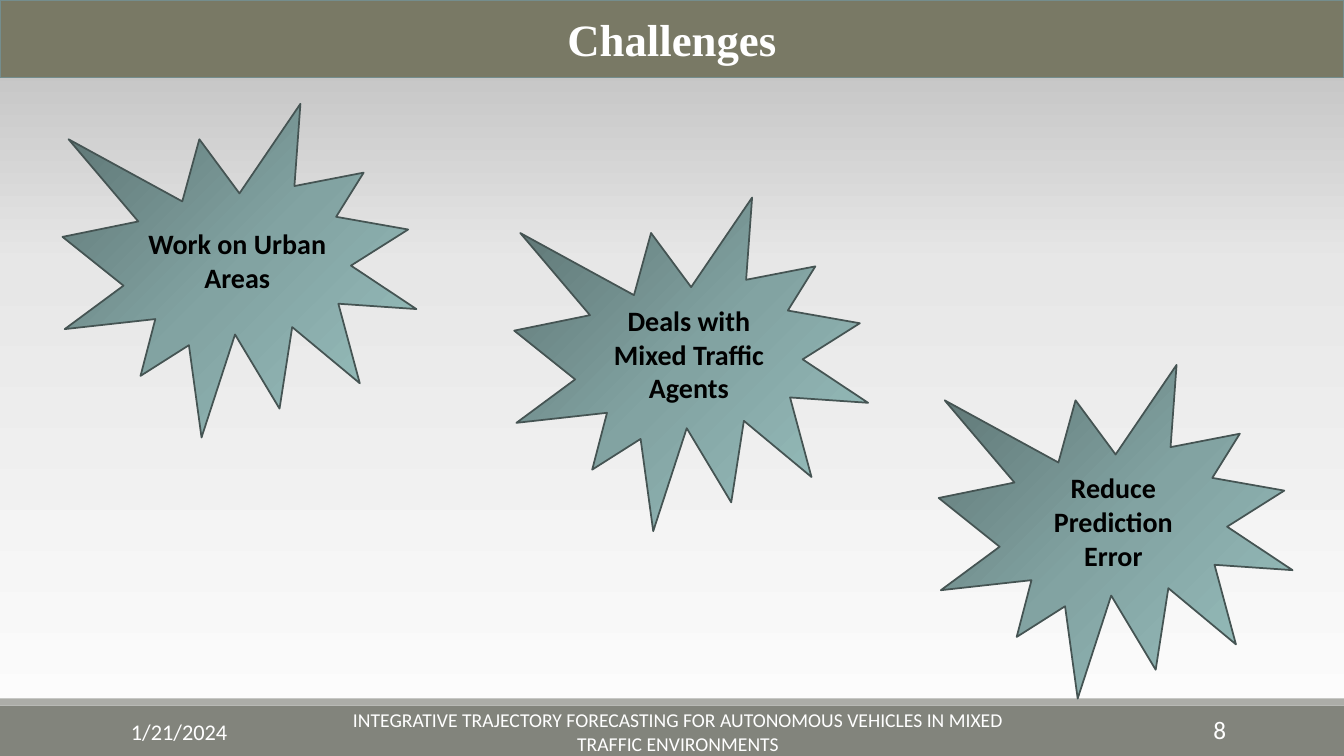
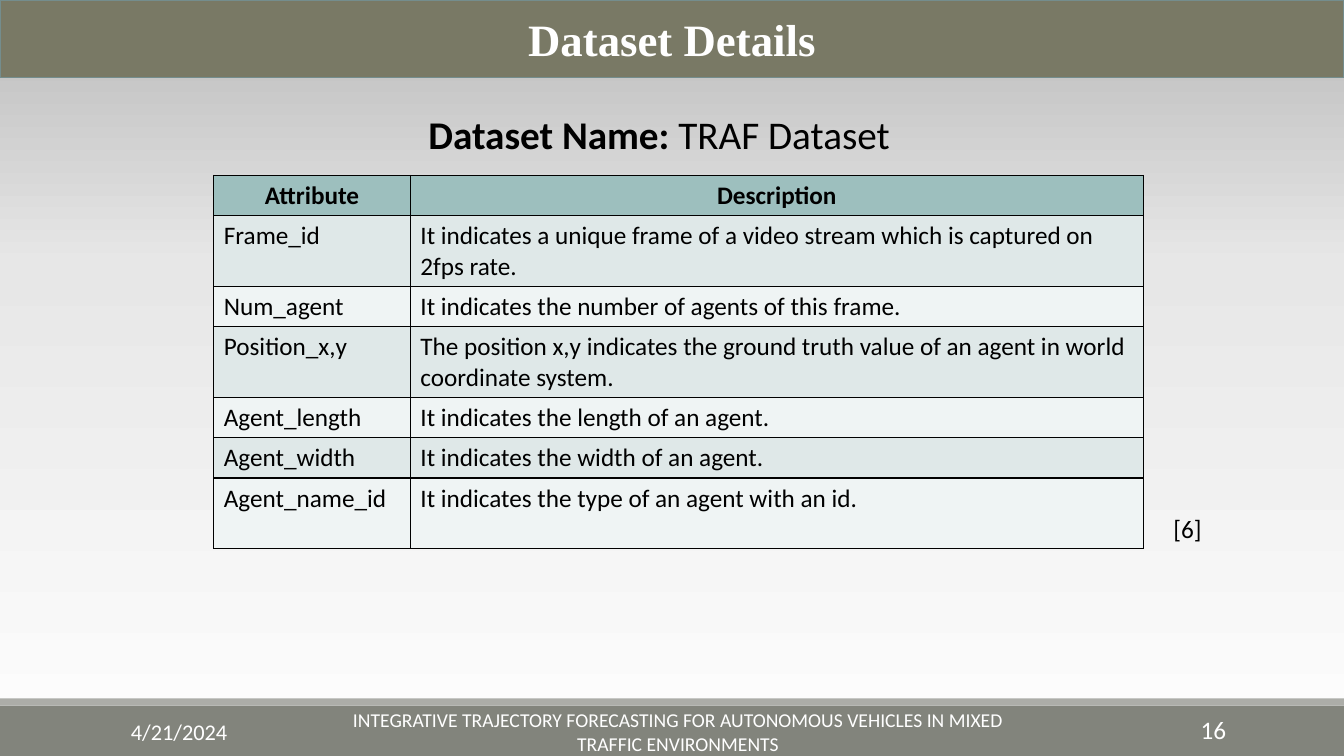
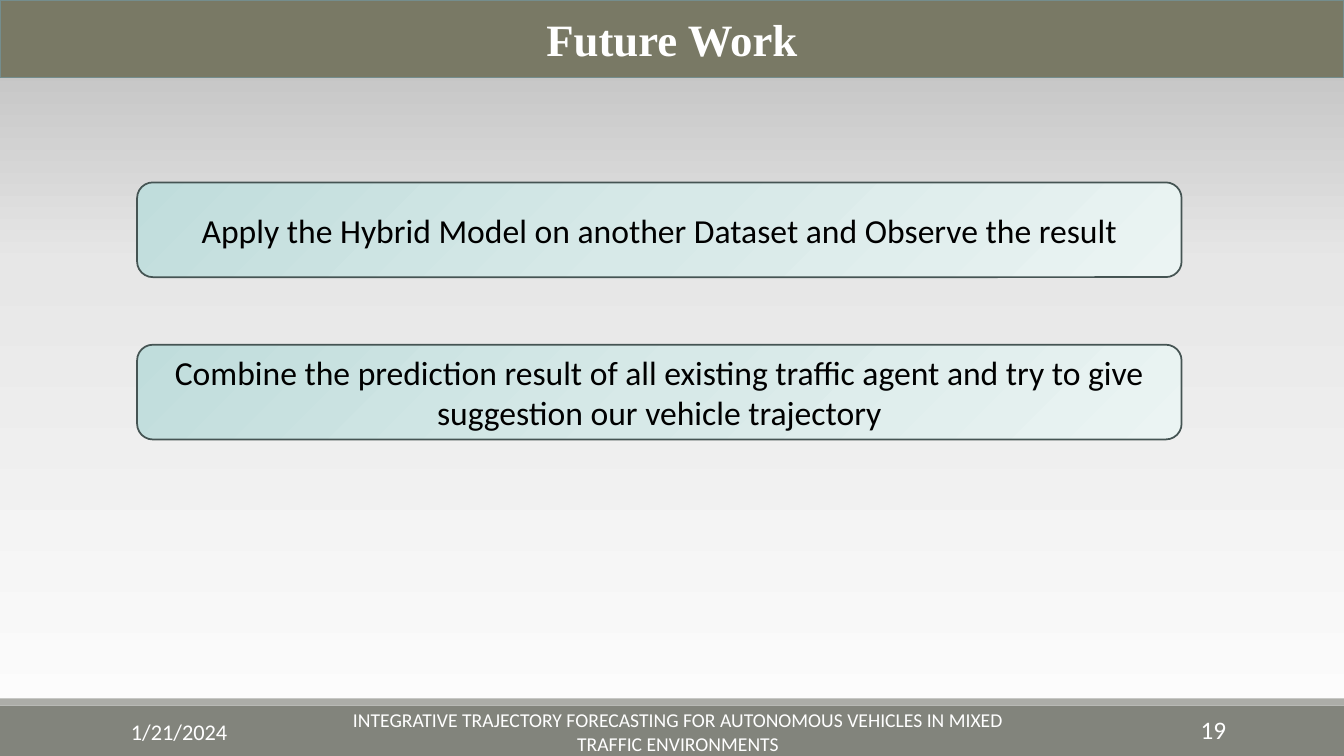
from dataclasses import dataclass
from copy import deepcopy
from pptx import Presentation
from pptx.dml.color import RGBColor
from pptx.enum.shapes import MSO_SHAPE
from pptx.enum.text import MSO_ANCHOR, MSO_AUTO_SIZE, PP_ALIGN
from pptx.oxml import parse_xml
from pptx.oxml.ns import nsdecls, qn
from pptx.util import Inches, Pt


@dataclass(frozen=True)
class Theme:
    white: str = "FFFFFF"
    black: str = "000000"
    band: str = "797965"
    rim: str = "748D8D"
    foot: str = "82847C"
    strip: str = "ACADA8"
    edge: str = "455453"
    head: str = "9DBFBE"
    rows: tuple = ("DFE8E8", "EFF4F4")
    page: tuple = ((0, "FEFEFE"), (0.65, "E7E7E7"), (1, "B9B9B9"))
    dark: tuple = ((0, "5C7372"), (0.5, "82A3A2"), (1, "9AC2C0"))
    pale: tuple = ((0, "C0DDDC"), (0.5, "D7E9E8"), (1, "EBF4F3"))
    face: str = "Calibri"
    serif: str = "Times New Roman"
    title: int = 32
    name: int = 28
    card: int = 24
    burst: int = 20
    body: int = 18
    date: int = 16
    small: int = 14
    line: float = 1.25


THEME = Theme()
FOOTER = "INTEGRATIVE TRAJECTORY FORECASTING FOR AUTONOMOUS VEHICLES IN MIXED TRAFFIC ENVIRONMENTS"


def write(frame, text, size=THEME.body, color=THEME.black, bold=False,
          face=THEME.face, align=PP_ALIGN.LEFT, anchor=MSO_ANCHOR.TOP):
    frame.word_wrap = True
    frame.vertical_anchor = anchor
    para = frame.paragraphs[0]
    para.alignment = align
    run = para.add_run()
    run.text = text
    font = run.font
    font.name, font.size, font.bold = face, Pt(size), bold
    font.color.rgb = RGBColor.from_string(color)


def blend(fill, root, stops, angle):
    fill.gradient()
    fill.gradient_angle = angle
    items = root.find(".//" + qn("a:gsLst"))
    items.append(deepcopy(items[0]))
    for stop, (place, color) in zip(fill.gradient_stops, stops):
        stop.position = place
        stop.color.rgb = RGBColor.from_string(color)


def paint(item, color):
    item.fill.solid()
    item.fill.fore_color.rgb = RGBColor.from_string(color)


def trace(shape, color):
    shape.line.color.rgb = RGBColor.from_string(color)
    shape.line.width = Pt(THEME.line)


def frame_cell(cell):
    props = cell._tc.get_or_add_tcPr()
    for side in "LRTB":
        props.append(parse_xml(
            f'<a:ln{side} {nsdecls("a")} w="12700"><a:solidFill>'
            f'<a:srgbClr val="{THEME.black}"/></a:solidFill></a:ln{side}>'))


class Deck:
    """Build slides that share one theme, title band and footer."""

    def __init__(self):
        self.file = Presentation()
        self.file.slide_width = Inches(13.33)
        self.file.slide_height = Inches(7.5)
        self.slide = None
        master = self.file.slide_master
        blend(master.background.fill, master.element, THEME.page, 90)

    def start(self, title, date, page):
        self.slide = self.file.slides.add_slide(self.file.slide_layouts[5])
        self.bar(7, 0.5, THEME.foot)
        self.bar(6.93, 0.07, THEME.strip)
        self.title(title)
        mid = MSO_ANCHOR.MIDDLE
        self.label(date, (1.2, 7.06, 2.7, 0.4), size=THEME.date,
                   color=THEME.white, anchor=mid)
        self.label(FOOTER, (3.38, 7.06, 6.69, 0.4), size=THEME.small,
                   color=THEME.white, align=PP_ALIGN.CENTER, anchor=mid)
        self.label(page, (10.83, 7.04, 1.43, 0.4), color=THEME.white,
                   align=PP_ALIGN.RIGHT, anchor=mid)

    def title(self, text):
        band = self.slide.shapes.title
        band.left, band.top = Inches(0), Inches(0)
        band.width, band.height = self.file.slide_width, Inches(0.77)
        paint(band, THEME.band)
        trace(band, THEME.rim)
        band.text_frame.auto_size = MSO_AUTO_SIZE.NONE
        write(band.text_frame, text, size=THEME.title, color=THEME.white, bold=True,
              face=THEME.serif, align=PP_ALIGN.CENTER, anchor=MSO_ANCHOR.MIDDLE)

    def shape(self, kind, box):
        shape = self.slide.shapes.add_shape(kind, *map(Inches, box))
        shape.shadow.inherit = False
        return shape

    def bar(self, top, height, color):
        bar = self.shape(MSO_SHAPE.RECTANGLE, (0, top, 13.33, height))
        paint(bar, color)
        bar.line.fill.background()

    def label(self, text, box, **style):
        label = self.slide.shapes.add_textbox(*map(Inches, box))
        write(label.text_frame, text, **style)
        return label.text_frame

    def panel(self, kind, text, box, stops, **style):
        panel = self.shape(kind, box)
        blend(panel.fill, panel.element, stops, 315)
        trace(panel, THEME.edge)
        write(panel.text_frame, text, align=PP_ALIGN.CENTER,
              anchor=MSO_ANCHOR.MIDDLE, **style)

    def burst(self, text, left, top):
        self.panel(MSO_SHAPE.EXPLOSION1, text, (left, top, 3.51, 3.31),
                   THEME.dark, size=THEME.burst, bold=True)

    def card(self, text, top):
        self.panel(MSO_SHAPE.ROUNDED_RECTANGLE, text, (1.36, top, 10.36, 0.94),
                   THEME.pale, size=THEME.card)

    def table(self, rows, left, top, widths, heights):
        box = left, top, sum(widths), sum(heights)
        table = self.slide.shapes.add_table(
            len(rows), len(widths), *map(Inches, box)).table
        for col, width in zip(table.columns, widths):
            col.width = Inches(width)
        for row, height in zip(table.rows, heights):
            row.height = Inches(height)
        for i, row in enumerate(rows):
            head = i == 0
            for j, text in enumerate(row):
                cell = table.cell(i, j)
                frame_cell(cell)
                paint(cell, THEME.head if head else THEME.rows[(i - 1) % 2])
                write(cell.text_frame, text, bold=head,
                      align=PP_ALIGN.CENTER if head else PP_ALIGN.LEFT)


def main():
    deck = Deck()

    deck.start("Challenges", "1/21/2024", "8")
    for text, left, top in (
        ("Work on Urban Areas", 0.62, 1.03),
        ("Deals with Mixed Traffic Agents", 5.1, 1.96),
        ("Reduce Prediction Error", 9.31, 3.62),
    ):
        deck.burst(text, left, top)

    deck.start("Dataset Details", "4/21/2024", "16")
    rows = (
        ("Attribute", "Description"),
        ("Frame_id", "It indicates a unique frame of a video stream which is captured on 2fps rate."),
        ("Num_agent", "It indicates the number of agents of this frame."),
        ("Position_x,y", "The position x,y indicates the ground truth value of an agent in world coordinate system."),
        ("Agent_length", "It indicates the length of an agent."),
        ("Agent_width", "It indicates the width of an agent."),
        ("Agent_name_id", "It indicates the type of an agent with an id."),
    )
    deck.table(rows, 2.12, 1.74, (1.95, 7.27), (0.4, 0.7, 0.4, 0.7, 0.4, 0.4, 0.7))
    deck.label("[6]", (11.54, 5.04, 0.61, 0.4))
    name = deck.label("Dataset Name: ", (4.15, 1.05, 5.15, 1.04),
                      size=THEME.name, bold=True)
    write(name, "TRAF Dataset", size=THEME.name)

    deck.start("Future Work", "1/21/2024", "19")
    for i, text in enumerate((
        "Apply the Hybrid Model on another Dataset and Observe the result",
        "Combine the prediction result of all existing traffic agent and try to give suggestion our vehicle trajectory",
    )):
        deck.card(text, 1.81 + 1.61 * i)

    deck.file.save("out.pptx")


if __name__ == "__main__":
    main()
